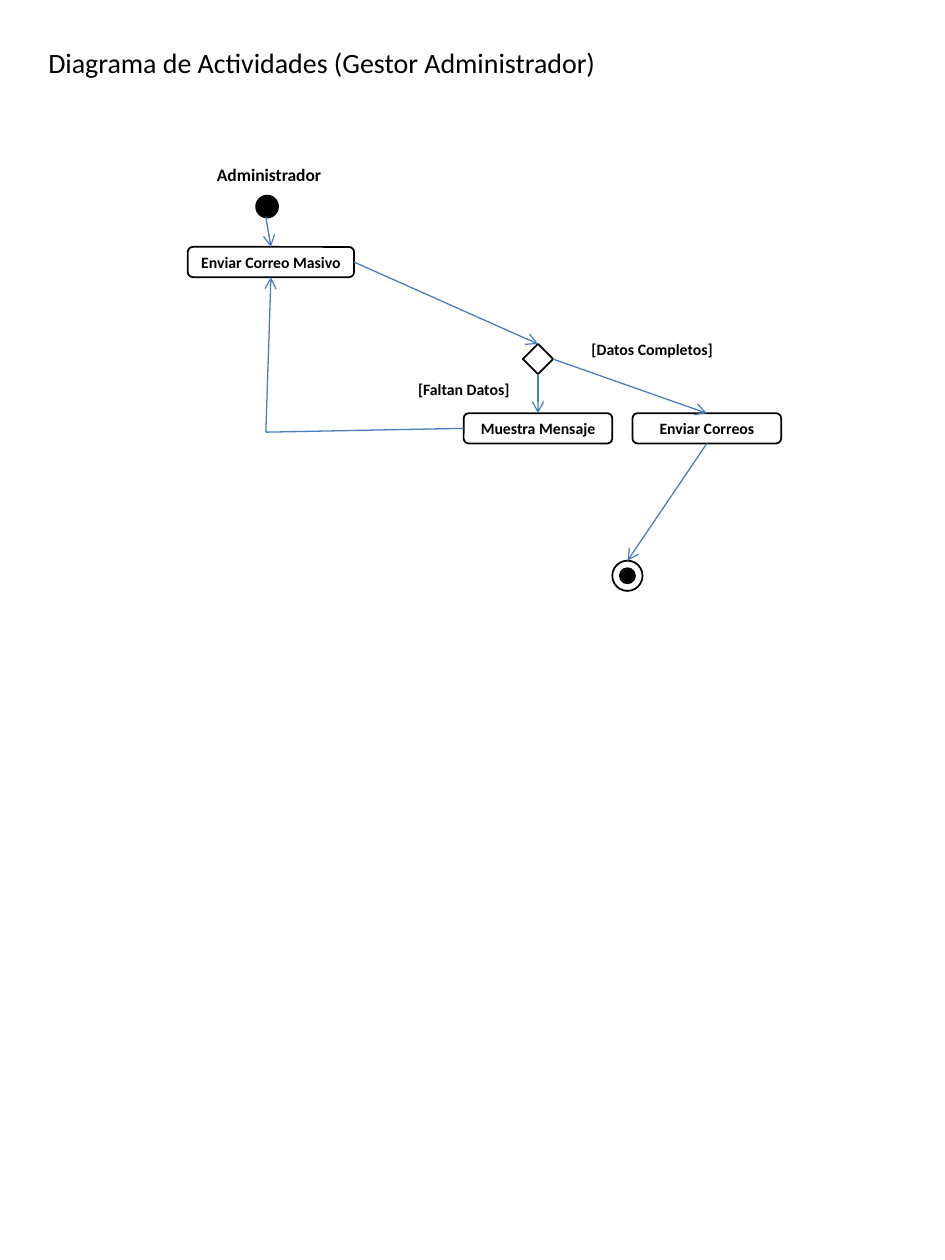
from lxml.etree import SubElement
from pptx import Presentation
from pptx.dml.color import RGBColor
from pptx.enum.shapes import MSO_CONNECTOR, MSO_SHAPE as Shape
from pptx.enum.text import MSO_ANCHOR as Anchor, PP_ALIGN as Align
from pptx.oxml.ns import qn
from pptx.util import Inches, Pt

BLACK, WHITE, BLUE = "000000", "FFFFFF", "4B7EBC"

deck = Presentation()
deck.slide_width, deck.slide_height = Inches(7.5), Inches(10)
COL, ROW = deck.slide_width / 75, deck.slide_height / 100
slide = deck.slides.add_slide(deck.slide_layouts[5])


def paint(target, color):
    """Give a fill, a line fill or a font its solid colour."""
    if hasattr(target, "solid"):
        target.solid()
        target.fore_color.rgb = RGBColor.from_string(color)
    else:
        target.color.rgb = RGBColor.from_string(color)


def write(holder, text, size, bold=True, anchor=Anchor.MIDDLE):
    """Put one centred line of text into a shape."""
    frame = holder.text_frame
    layout = dict(word_wrap=True, vertical_anchor=anchor, margin_left=0,
                  margin_right=0, margin_top=Inches(0.05), margin_bottom=Inches(0.05))
    for key, value in layout.items():
        setattr(frame, key, value)
    line = frame.paragraphs[0]
    line.text, line.alignment = text, Align.CENTER
    for key, value in dict(name="Calibri", size=Pt(size), bold=bold).items():
        setattr(line.runs[0].font, key, value)
    paint(line.runs[0].font, BLACK)


# Title
title = slide.shapes.title
place = dict(left=2.3 * COL, top=3.1 * ROW, width=46.5 * COL, height=4.4 * ROW)
for key, value in place.items():
    setattr(title, key, int(value))
write(title, "Diagrama de Actividades (Gestor Administrador)", 16, False, Anchor.TOP)

# Nodes: kind, column, row, columns wide, rows high, fill, line width, text
final_group = slide.shapes.add_group_shape()
nodes = {
    "final_ring": (Shape.DONUT, 48.6, 44.5, 2.4, 2.4, WHITE, 1, ""),
    "final_dot": (Shape.FLOWCHART_CONNECTOR, 49.4, 45.3, 0.8, 0.8, BLACK, 2, ""),
    "start": (Shape.FLOWCHART_CONNECTOR, 20.4, 15.6, 1.6, 1.6, BLACK, 2, ""),
    "decision": (Shape.FLOWCHART_DECISION, 41.5, 27.3, 2.4, 2.4, WHITE, 1, ""),
    "message": (Shape.FLOWCHART_ALTERNATE_PROCESS, 36.8, 32.8, 11.8, 2.4, WHITE, 1,
                "Muestra Mensaje"),
    "send": (Shape.FLOWCHART_ALTERNATE_PROCESS, 50.2, 32.8, 11.8, 2.4, WHITE, 1,
             "Enviar Correos"),
    "mass_mail": (Shape.FLOWCHART_ALTERNATE_PROCESS, 14.9, 19.6, 13.2, 2.4, WHITE, 1,
                  "Enviar Correo Masivo"),
}
drawn = {}
for step, (kind, col, row, wide, high, fill, weight, text) in nodes.items():
    parent = final_group if step.startswith("final") else slide
    node = parent.shapes.add_shape(
        kind, int(col * COL), int(row * ROW), int(wide * COL), int(high * ROW))
    node.shadow.inherit = False
    paint(node.fill, fill)
    paint(node.line.fill, BLACK)
    node.line.width = Pt(weight)
    if text:
        write(node, text, 9)
    drawn[step] = node

# Actor name and branch conditions
for text, col, row, wide, high, size in [
    ("Administrador", 13.1, 12.5, 16.5, 2.7, 10),
    ("[Datos Completos]", 44.7, 26.5, 14.1, 2.5, 9),
    ("[Faltan Datos]", 29.7, 29.6, 14.2, 2.5, 9),
]:
    label = slide.shapes.add_textbox(
        int(col * COL), int(row * ROW), int(wide * COL), int(high * ROW))
    write(label, text, size)

# Flows: each end is a (step, side) pair or a free (column, row) point
TOP, LEFT, BOTTOM, RIGHT = range(4)
start_exit, loop_corner = (21.1, 17.2), (21.1, 34.3)
for origin, target, has_arrow in [
    (start_exit, ("mass_mail", TOP), True),
    (("mass_mail", RIGHT), ("decision", TOP), True),
    (("decision", BOTTOM), ("message", TOP), True),
    (("send", BOTTOM), ("final_ring", TOP), True),
    (("decision", RIGHT), ("send", TOP), True),
    (("message", LEFT), loop_corner, False),
    (loop_corner, ("mass_mail", BOTTOM), True),
]:
    points = [(0, 0) if end[0] in drawn else (int(end[0] * COL), int(end[1] * ROW))
              for end in (origin, target)]
    flow = slide.shapes.add_connector(MSO_CONNECTOR.STRAIGHT, *points[0], *points[1])
    for end, join in ((origin, flow.begin_connect), (target, flow.end_connect)):
        if end[0] in drawn:
            join(drawn[end[0]], end[1])
    paint(flow.line.fill, BLUE)
    flow.line.width = Pt(0.75)
    if has_arrow:
        SubElement(flow.line._get_or_add_ln(), qn("a:tailEnd"), type="arrow")
    SubElement(flow._element.spPr, qn("a:effectLst"))

deck.save("out.pptx")
